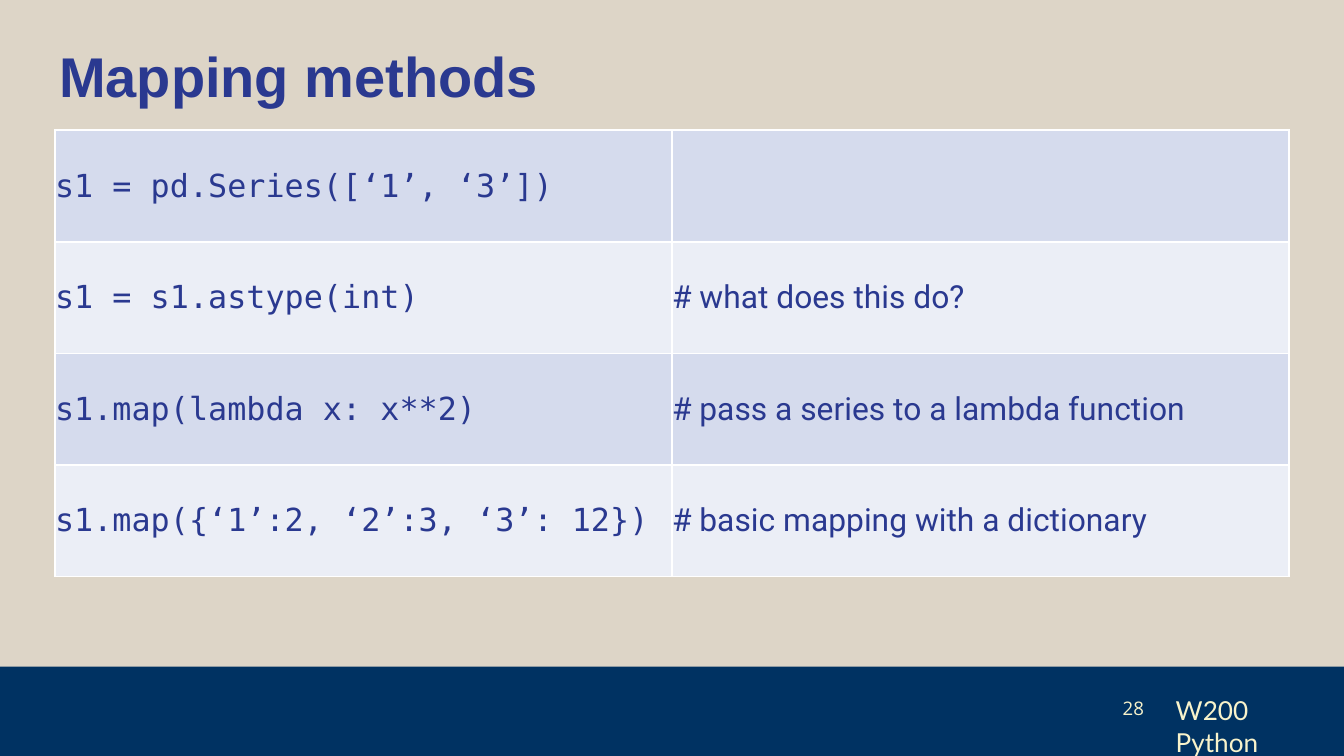
from lxml.etree import SubElement
from pptx import Presentation
from pptx.dml.color import RGBColor
from pptx.enum.shapes import MSO_SHAPE
from pptx.enum.text import MSO_ANCHOR, PP_ALIGN
from pptx.oxml.ns import qn
from pptx.util import Cm, Pt

COLORS = {
    "background": "DDD5C7",
    "footer": "003262",
    "footer_text": "F8F3CB",
    "text": "2A3990",
    "odd_row": "D5DBED",
    "even_row": "EBEEF6",
    "border": "FFFFFF",
}
CODE_FONT = "DejaVu Sans Mono"
COMMENT_FONT = "Roboto"
METHODS = [
    ("s1 = pd.Series([‘1’, ‘3’])", ""),
    ("s1 = s1.astype(int)", "# what does this do?"),
    ("s1.map(lambda x: x**2)", "# pass a series to a lambda function"),
    ("s1.map({‘1’:2, ‘2’:3, ‘3’: 12})", "# basic mapping with a dictionary"),
]


def set_fill(fill, color):
    fill.solid()
    fill.fore_color.rgb = RGBColor.from_string(COLORS[color])


def set_font(paragraph, name, size, color, bold=False):
    font = paragraph.font
    font.name = name
    font.size = Pt(size)
    font.bold = bold
    font.color.rgb = RGBColor.from_string(COLORS[color])


def add_footer_bar(slide, left, top, width, height):
    shape = slide.shapes.add_shape(
        MSO_SHAPE.RECTANGLE, Cm(left), Cm(top), Cm(width), Cm(height))
    shape.shadow.inherit = False
    set_fill(shape.fill, "footer")
    shape.line.fill.background()


def add_text(slide, text, box, font, size, color, bold=False, margin=0.25,
             anchor=MSO_ANCHOR.TOP, align=PP_ALIGN.LEFT):
    shape = slide.shapes.add_textbox(*(Cm(length) for length in box))
    frame = shape.text_frame
    frame.word_wrap = True
    frame.vertical_anchor = anchor
    frame.margin_left = frame.margin_right = Cm(margin)
    frame.margin_top = frame.margin_bottom = Cm(margin)
    paragraph = frame.paragraphs[0]
    paragraph.text = text
    paragraph.alignment = align
    set_font(paragraph, font, size, color, bold)


def set_borders(cell):
    properties = cell._tc.get_or_add_tcPr()
    for index, side in enumerate(("a:lnL", "a:lnR", "a:lnT", "a:lnB")):
        line = SubElement(properties, qn(side), w=str(Pt(1)))
        properties.insert(index, line)
        fill = SubElement(line, qn("a:solidFill"))
        SubElement(fill, qn("a:srgbClr"), val=COLORS["border"])


def fill_cell(cell, text, font, color):
    set_fill(cell.fill, color)
    set_borders(cell)
    cell.vertical_anchor = MSO_ANCHOR.MIDDLE
    cell.margin_left = cell.margin_right = 0
    cell.margin_top = cell.margin_bottom = 0
    paragraph = cell.text_frame.paragraphs[0]
    paragraph.text = text
    set_font(paragraph, font, 17, "text")


def add_methods_table(slide, left, top, width, height):
    table = slide.shapes.add_table(
        len(METHODS), 2, Cm(left), Cm(top), Cm(width), Cm(height)).table
    table.first_row = False
    table.horz_banding = False
    for row, texts in enumerate(METHODS):
        color = "even_row" if row % 2 else "odd_row"
        for column, font in enumerate((CODE_FONT, COMMENT_FONT)):
            fill_cell(table.cell(row, column), texts[column], font, color)


def main():
    presentation = Presentation()
    presentation.slide_width = Cm(25.4)
    presentation.slide_height = Cm(14.29)
    slide = presentation.slides.add_slide(presentation.slide_layouts[6])
    set_fill(slide.background.fill, "background")

    add_footer_bar(slide, 0, 12.6, 25.4, 1.69)
    add_text(slide, "W200 Python", (22.22, 13.13, 2.77, 0.48),
             "Lato", 14, "footer_text", margin=0)
    add_text(slide, "Mapping methods", (0.87, 0.54, 23.67, 1.68),
             "Arial", 30, "text", bold=True)
    add_text(slide, "28", (20.93, 12.88, 0.94, 1), "Open Sans", 10,
             "footer_text", anchor=MSO_ANCHOR.MIDDLE, align=PP_ALIGN.RIGHT)
    add_methods_table(slide, 1.04, 2.46, 23.32, 8.44)

    presentation.save("out.pptx")


if __name__ == "__main__":
    main()
